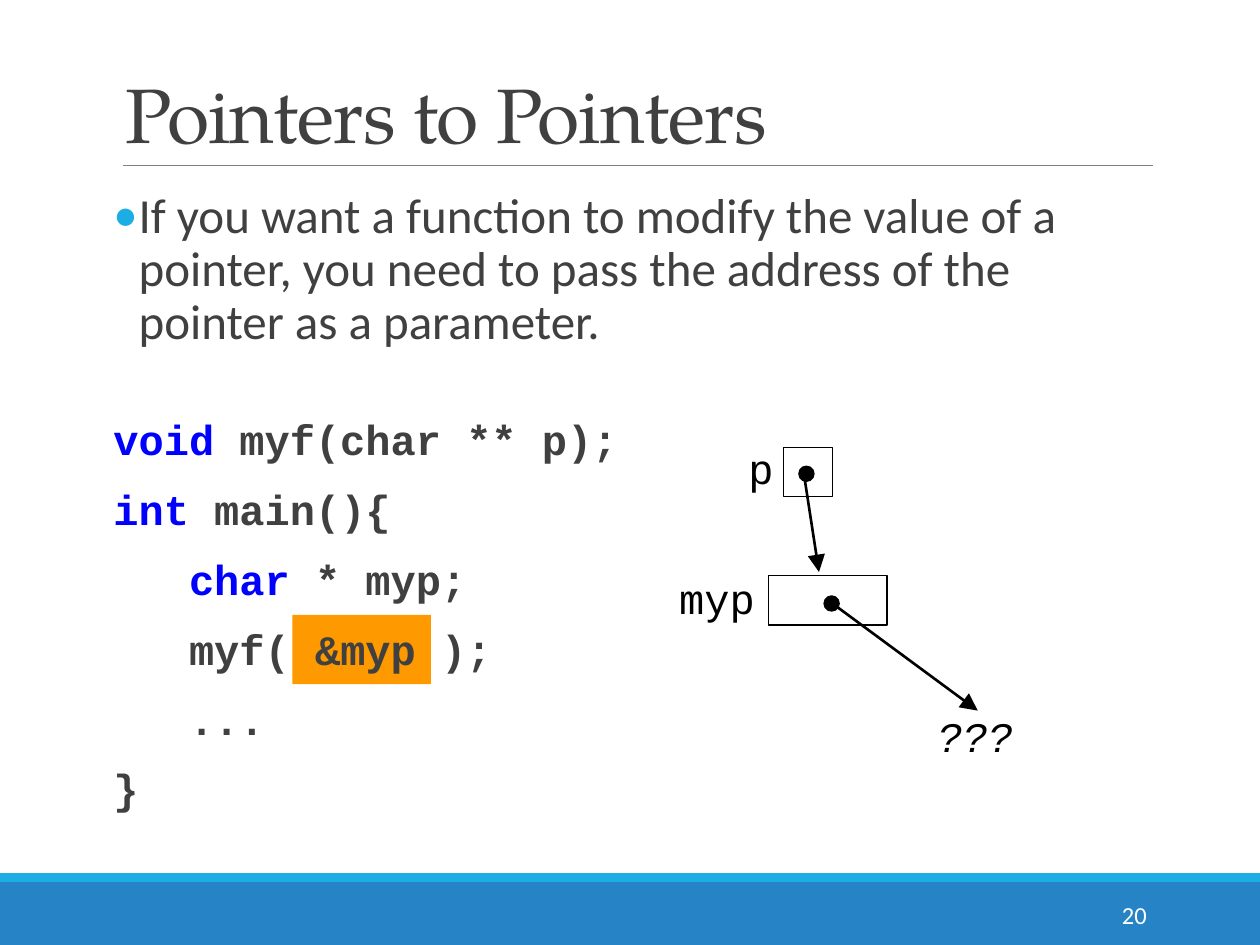
from dataclasses import dataclass
from pptx import Presentation
from pptx.dml.color import RGBColor
from pptx.enum.shapes import MSO_CONNECTOR, MSO_SHAPE
from pptx.enum.text import MSO_ANCHOR, PP_ALIGN
from pptx.oxml.ns import qn
from pptx.util import Inches, Pt
from lxml.etree import SubElement


@dataclass(frozen=True)
class Theme:
    ink: str = "404040"
    black: str = "000000"
    white: str = "FFFFFF"
    blue: str = "2683C6"
    cyan: str = "1CADE4"
    gray: str = "808080"
    key: str = "0000FF"
    mark: str = "FF9900"
    serif: str = "TeX Gyre Pagella"
    sans: str = "Calibri"
    mono: str = "Courier New"
    title: int = 44
    body: int = 28
    code: int = 24
    page: int = 14


class Deck:
    def __init__(self, theme):
        self.theme = theme
        self.file = Presentation()
        self.file.slide_width, self.file.slide_height = Inches(10), Inches(7.5)
        self.slide = self.file.slides.add_slide(self.file.slide_layouts[6])
        self.shapes = self.slide.shapes

    def group(self):
        self.shapes = self.slide.shapes.add_group_shape().shapes

    def shape(self, kind, area, fill=None, line=None):
        item = self.shapes.add_shape(kind, *map(Inches, area))
        item.shadow.inherit = False
        if fill:
            item.fill.solid()
            item.fill.fore_color.rgb = RGBColor.from_string(fill)
        else:
            item.fill.background()
        if line:
            item.line.color.rgb = RGBColor.from_string(line)
            item.line.width = Pt(0.75)
        else:
            item.line.fill.background()

    def line(self, start, end, color, width, arrow=False):
        item = self.shapes.add_connector(
            MSO_CONNECTOR.STRAIGHT, *map(Inches, (*start, *end)))
        item.line.color.rgb = RGBColor.from_string(color)
        item.line.width = Pt(width)
        props = item._element.spPr
        if arrow:
            SubElement(props.find(qn("a:ln")), qn("a:tailEnd"),
                       type="triangle", w="lg", len="lg")
        SubElement(props, qn("a:effectLst"))

    def frame(self, area, pad=(0, 0), anchor=MSO_ANCHOR.TOP, wrap=True):
        frame = self.shapes.add_textbox(*map(Inches, area)).text_frame
        frame.word_wrap = wrap
        frame.vertical_anchor = anchor
        frame.margin_left = frame.margin_right = Inches(pad[0])
        frame.margin_top = frame.margin_bottom = Inches(pad[1])
        return frame

    def style(self, run, font, size, color, bold=False, italic=False):
        run.font.name, run.font.size = font, Pt(size)
        run.font.color.rgb = RGBColor.from_string(color)
        run.font.bold, run.font.italic = bold, italic

    def text(self, words, area, font, size, color, italic=False, **opts):
        para = self.frame(area, **opts).paragraphs[0]
        para.text = words
        self.style(para.runs[0], font, size, color, italic=italic)
        return para

    def bullet(self, para, words):
        para.text = words
        para.line_spacing = 0.9
        para.space_after = Pt(2)
        self.style(para.runs[0], self.theme.sans, self.theme.body, self.theme.ink)
        props = para._p.get_or_add_pPr()
        props.set("marL", str(Inches(0.2)))
        props.set("indent", str(-Inches(0.2)))
        tint = SubElement(props, qn("a:buClr"))
        SubElement(tint, qn("a:srgbClr"), val=self.theme.cyan)
        SubElement(props, qn("a:buFont"), typeface=self.theme.sans)
        SubElement(props, qn("a:buChar"), char="•")

    def code(self, frame, key, rest, depth, before):
        para = frame.add_paragraph()
        para.line_spacing = 0.9
        para.space_before, para.space_after = Pt(before), Pt(2)
        para._p.get_or_add_pPr().set("marL", str(Inches(0.6 * depth)))
        for words, color in ((key, self.theme.key), (rest, self.theme.ink)):
            if words:
                run = para.add_run()
                run.text = words
                self.style(run, self.theme.mono, self.theme.code, color, bold=True)

    def label(self, words, area, **opts):
        self.text(words, area, self.theme.mono, self.theme.code,
                  self.theme.black, **opts)

    def cell(self, name, tag, box, dot, start, end):
        black = self.theme.black
        self.group()
        self.shape(MSO_SHAPE.RECTANGLE, box, line=black)
        self.label(name, tag, wrap=False)
        self.shape(MSO_SHAPE.OVAL, (*dot, 0.12, 0.12), black, black)
        self.line(start, end, black, 1.5, arrow=True)


def main():
    theme = Theme()
    deck = Deck(theme)
    deck.shape(MSO_SHAPE.RECTANGLE, (0, 7, 10, 0.5), theme.blue)
    deck.shape(MSO_SHAPE.RECTANGLE, (0, 6.93, 10, 0.07), theme.cyan)
    deck.line((0.98, 1.31), (9.15, 1.31), theme.gray, 0.5)
    deck.shape(MSO_SHAPE.RECTANGLE, (2.32, 4.88, 1.1, 0.55), theme.mark)

    title = deck.text("Pointers to Pointers", (0.9, 0.31, 8.25, 1), theme.serif,
                      theme.title, theme.ink, pad=(0.1, 0.05),
                      anchor=MSO_ANCHOR.BOTTOM)
    title.line_spacing = 0.85
    title.runs[0]._r.get_or_add_rPr().set("spc", "-50")

    body = deck.frame((0.9, 1.47, 8.25, 5.35), pad=(0, 0.05))
    deck.bullet(body.paragraphs[0],
                "If you want a function to modify the value of a pointer, "
                "you need to pass the address of the pointer as a parameter.")
    rows = (
        ("void ", "myf(char ** p);", 0),
        ("int", " main(){", 0),
        ("char", " * myp;", 1),
        ("", "myf( &myp );", 1),
        ("", "...", 1),
        ("", "}", 0),
    )
    for step, row in enumerate(rows):
        deck.code(body, *row, before=12 if step else 37.5)

    page = deck.text("20", (8.12, 7.06, 1.08, 0.4), theme.sans, theme.page,
                     theme.white, pad=(0.1, 0.05), anchor=MSO_ANCHOR.MIDDLE)
    page.alignment = PP_ALIGN.RIGHT

    deck.cell("p", (5.94, 3.51, 0.2, 0.4), (6.22, 3.55, 0.39, 0.39),
              (6.34, 3.7), (6.38, 3.76), (6.5, 4.54))
    deck.cell("myp", (5.39, 4.54, 0.6, 0.4), (6.1, 4.57, 0.94, 0.39),
              (6.54, 4.73), (6.58, 4.77), (7.76, 5.64))
    deck.label("???", (7.44, 5.64, 0.79, 0.4), italic=True)
    deck.file.save("out.pptx")


if __name__ == "__main__":
    main()
